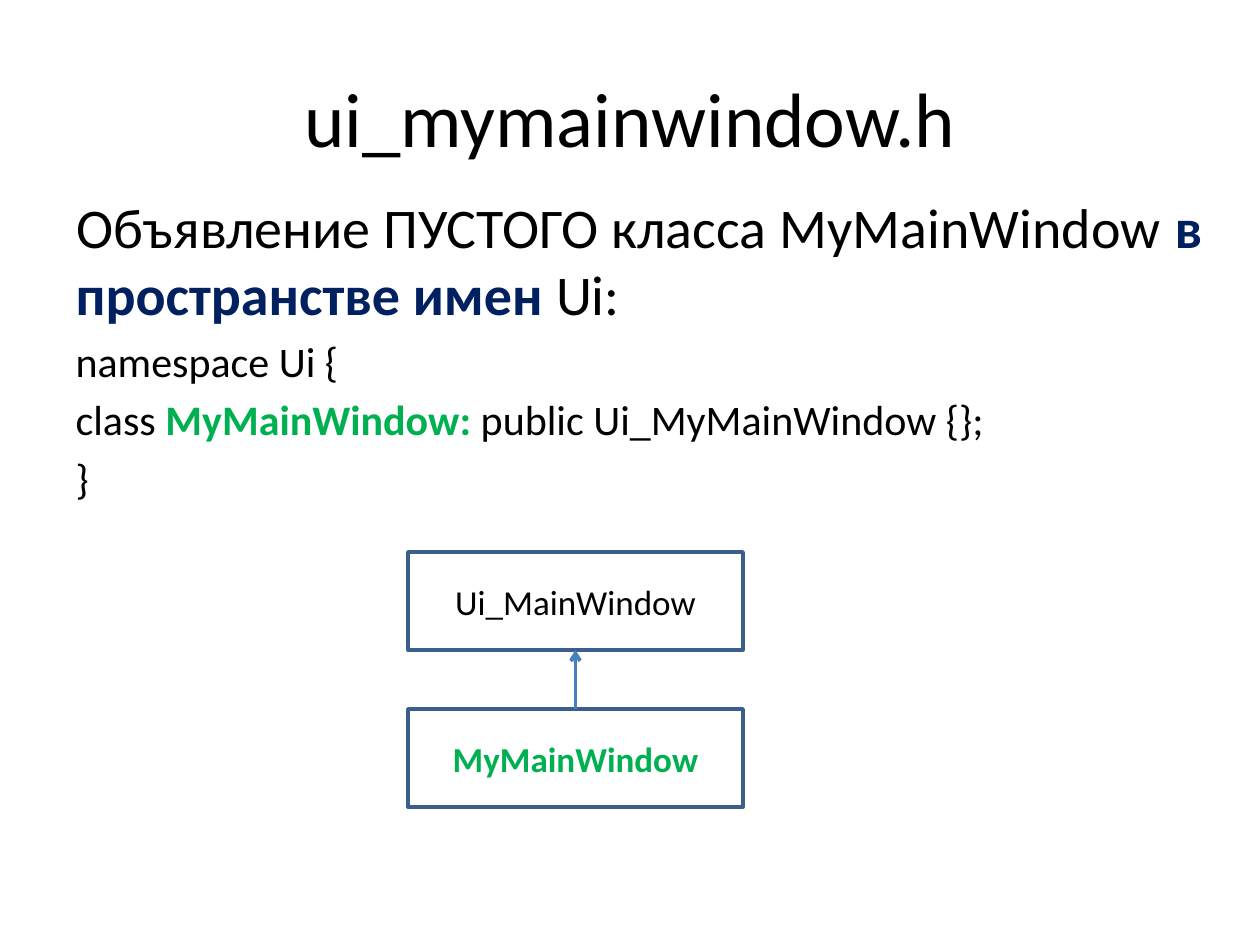
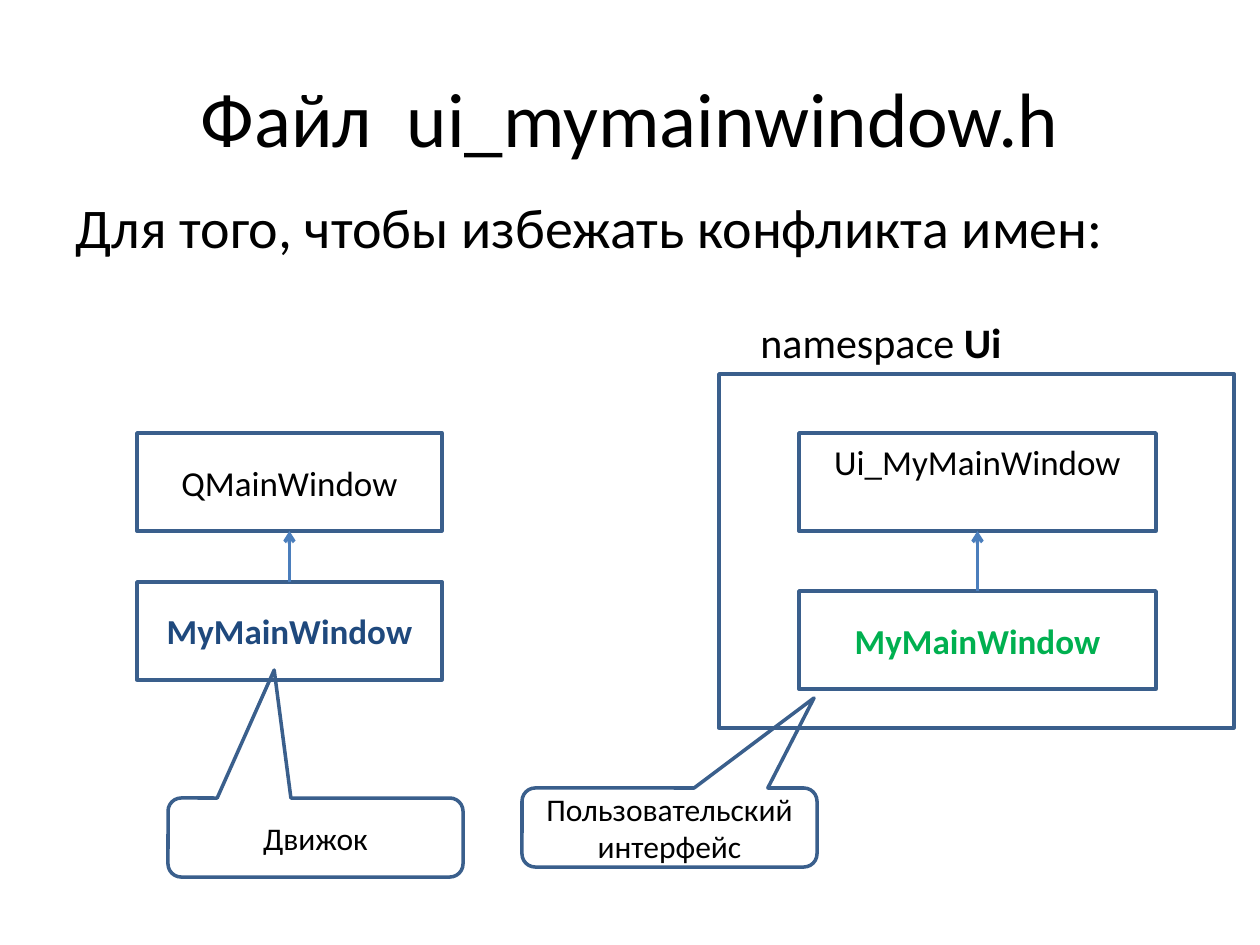
import dataclasses

import lxml.etree
import pptx
import pptx.dml.color
import pptx.enum.shapes
import pptx.enum.text
import pptx.oxml.ns
import pptx.util

SCALE = 914400 / 126  # EMU in one pixel
SHAPE = pptx.enum.shapes.MSO_SHAPE
ALIGN = pptx.enum.text.PP_ALIGN
ANCHOR = pptx.enum.text.MSO_ANCHOR
AUTO_SIZE = pptx.enum.text.MSO_AUTO_SIZE
qn = pptx.oxml.ns.qn


@dataclasses.dataclass(frozen=True)
class Theme:
    font: str = "Calibri"
    text: str = "000000"
    emphasis: str = "002060"
    engine: str = "1F497D"
    interface: str = "00B050"
    outline: str = "3A5F8C"
    arrow: str = "4B7EBC"
    title_size: int = 44
    lead_size: int = 32
    code_size: int = 24
    box_size: int = 20
    note_size: int = 18
    line_width: int = 2


THEME = Theme()
BOX_HEIGHT = 98
HANGING = (48, -48)


def px(*values):
    return [pptx.util.Emu(round(v * SCALE)) for v in values]


def rgb(color):
    return pptx.dml.color.RGBColor.from_string(color)


def format_run(r, size, color=THEME.text, bold=False):
    r.font.name = THEME.font
    r.font.size = pptx.util.Pt(size)
    r.font.color.rgb = rgb(color)
    r.font.bold = bold


def write_runs(p, runs, size):
    """Each run is (text,), (text, color) or (text, color, bold)."""
    for text, *style in runs:
        r = p.add_run()
        r.text = text
        format_run(r, size, *style)


def place(sp, left, top, width, height):
    sp.left, sp.top, sp.width, sp.height = px(left, top, width, height)


def add_slide(prs, title, paragraphs):
    """Paragraphs are (runs, size, (margin, first-line indent))."""
    s = prs.slides.add_slide(prs.slide_layouts[1])
    # Title
    sp = s.shapes.title
    place(sp, 63, 38, 1134, 158)
    tf = sp.text_frame
    tf.text = title
    tf.auto_size = AUTO_SIZE.NONE
    tf.vertical_anchor = ANCHOR.MIDDLE
    tf.paragraphs[0].alignment = ALIGN.CENTER
    format_run(tf.paragraphs[0].runs[0], THEME.title_size)
    # Body without bullets
    sp = s.placeholders[1]
    place(sp, 63, 186, 1168, 658)
    tf = sp.text_frame
    tf.auto_size = AUTO_SIZE.NONE
    for i, (runs, size, (margin, indent)) in enumerate(paragraphs):
        p = tf.add_paragraph() if i else tf.paragraphs[0]
        write_runs(p, runs, size)
        pPr = p._p.get_or_add_pPr()
        pPr.set("marL", str(px(margin)[0]))
        pPr.set("indent", str(px(indent)[0]))
        lxml.etree.SubElement(pPr, qn("a:buNone"))
    return s


def add_outline(shapes, kind, at, text="", size=THEME.box_size,
                color=THEME.text, bold=False):
    sp = shapes.add_shape(kind, *px(*at))
    sp.shadow.inherit = False
    sp.fill.background()
    sp.line.color.rgb = rgb(THEME.outline)
    sp.line.width = pptx.util.Pt(THEME.line_width)
    tf = sp.text_frame
    tf.text = text
    tf.vertical_anchor = ANCHOR.MIDDLE
    for p in tf.paragraphs:
        p.alignment = ALIGN.CENTER
        for r in p.runs:
            format_run(r, size, color, bold)
    return sp


def add_inheritance(shapes, left, width, base_top, derived_top, base_name,
                    derived_color):
    """Base class above, derived class below, arrow up to the base."""
    base = add_outline(shapes, SHAPE.RECTANGLE,
                       (left, base_top, width, BOX_HEIGHT), base_name)
    derived = add_outline(shapes, SHAPE.RECTANGLE,
                          (left, derived_top, width, BOX_HEIGHT),
                          "MyMainWindow", color=derived_color, bold=True)
    middle = left + width / 2
    c = shapes.add_connector(
        pptx.enum.shapes.MSO_CONNECTOR.STRAIGHT,
        *px(middle, derived_top, middle, base_top + BOX_HEIGHT))
    c.begin_connect(derived, 0)
    c.end_connect(base, 2)
    c.line.color.rgb = rgb(THEME.arrow)
    c.line.width = pptx.util.Pt(THEME.line_width)
    spPr = c.element.spPr
    lxml.etree.SubElement(spPr.find(qn("a:ln")), qn("a:tailEnd"), type="arrow")
    lxml.etree.SubElement(spPr, qn("a:effectLst"))
    return base


def add_callout(shapes, left, top, text, tip):
    sp = add_outline(shapes, SHAPE.ROUNDED_RECTANGULAR_CALLOUT,
                     (left, top, 295, 79), text, THEME.note_size)
    sp.adjustments[0], sp.adjustments[1] = tip


def add_label(shapes, at, runs, size):
    tf = shapes.add_textbox(*px(*at)).text_frame
    tf.word_wrap = False
    write_runs(tf.paragraphs[0], runs, size)


def build_declaration(prs):
    code = THEME.code_size
    s = add_slide(prs, "ui_mymainwindow.h", [
        ([("Объявление ПУСТОГО класса MyMainWindow ",),
          ("в пространстве имен ", THEME.emphasis, True),
          ("Ui:",)], THEME.lead_size, (0, 1)),
        ([("namespace Ui { ",)], code, HANGING),
        ([("class ",), ("MyMainWindow:", THEME.interface, True),
          (" public Ui_MyMainWindow {};",)], code, HANGING),
        ([("}",)], code, HANGING),
    ])
    group = s.shapes.add_group_shape()
    add_inheritance(group.shapes, 408, 335, 552, 709, "Ui_MainWindow",
                    THEME.interface)


def build_name_conflict(prs):
    s = add_slide(prs, "Файл  ui_mymainwindow.h", [
        ([("Для того, чтобы избежать конфликта имен:",)],
         THEME.lead_size, HANGING),
    ])
    # Class hierarchies
    base = add_inheritance(s.shapes, 799, 357, 433, 591, "Ui_MyMainWindow",
                           THEME.interface)
    base.text_frame.margin_bottom = px(48)[0]
    add_inheritance(s.shapes, 137, 305, 433, 582, "QMainWindow", THEME.engine)
    # Namespace frame and its name
    add_outline(s.shapes, SHAPE.RECTANGLE, (719, 374, 515, 354))
    add_label(s.shapes, (748, 310, 268, 63),
              [("namespace ",), ("Ui", THEME.text, True)], THEME.code_size)
    # Roles of the two classes
    add_callout(s.shapes, 168, 798, "Движок", (-0.14, -2.12))
    add_callout(s.shapes, 522, 788, "Пользовательский\nинтерфейс",
                (0.49, -1.64))


def main():
    prs = pptx.Presentation()
    prs.slide_width, prs.slide_height = px(1260, 945)
    build_declaration(prs)
    build_name_conflict(prs)
    prs.save("out.pptx")


main()
